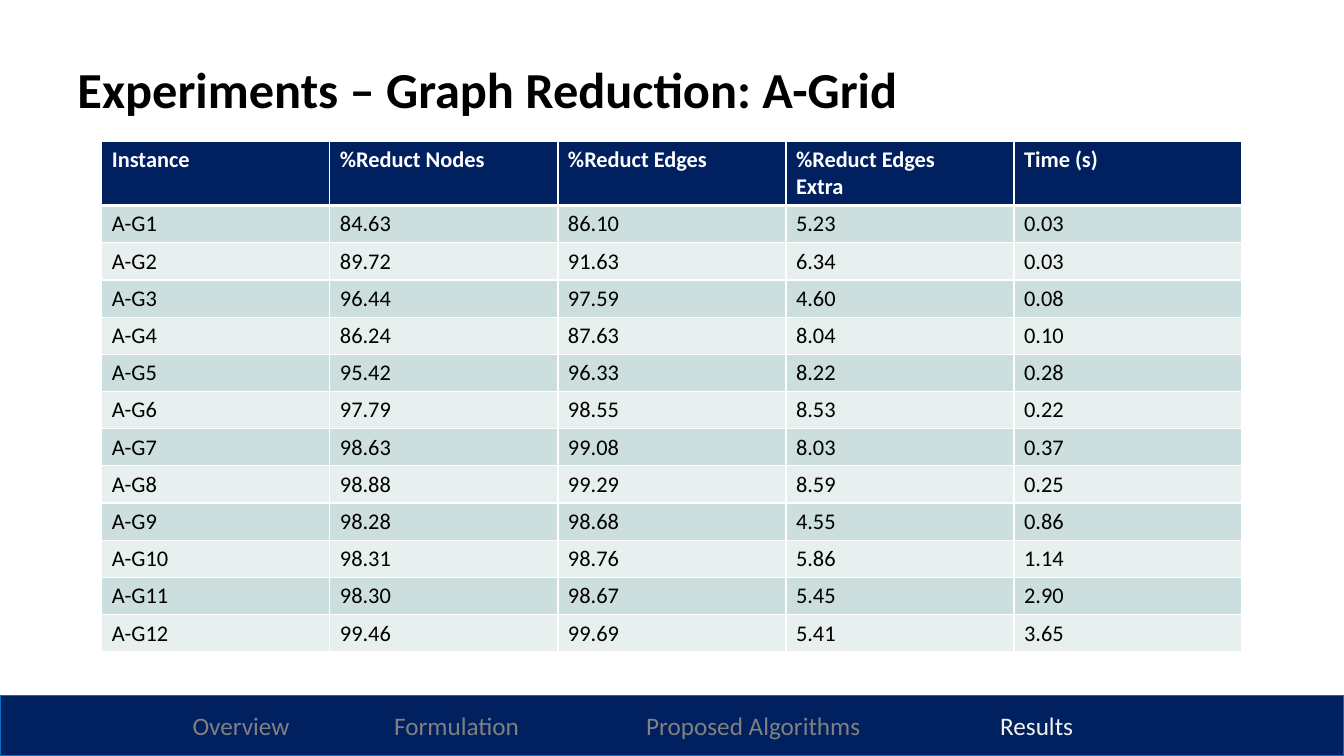
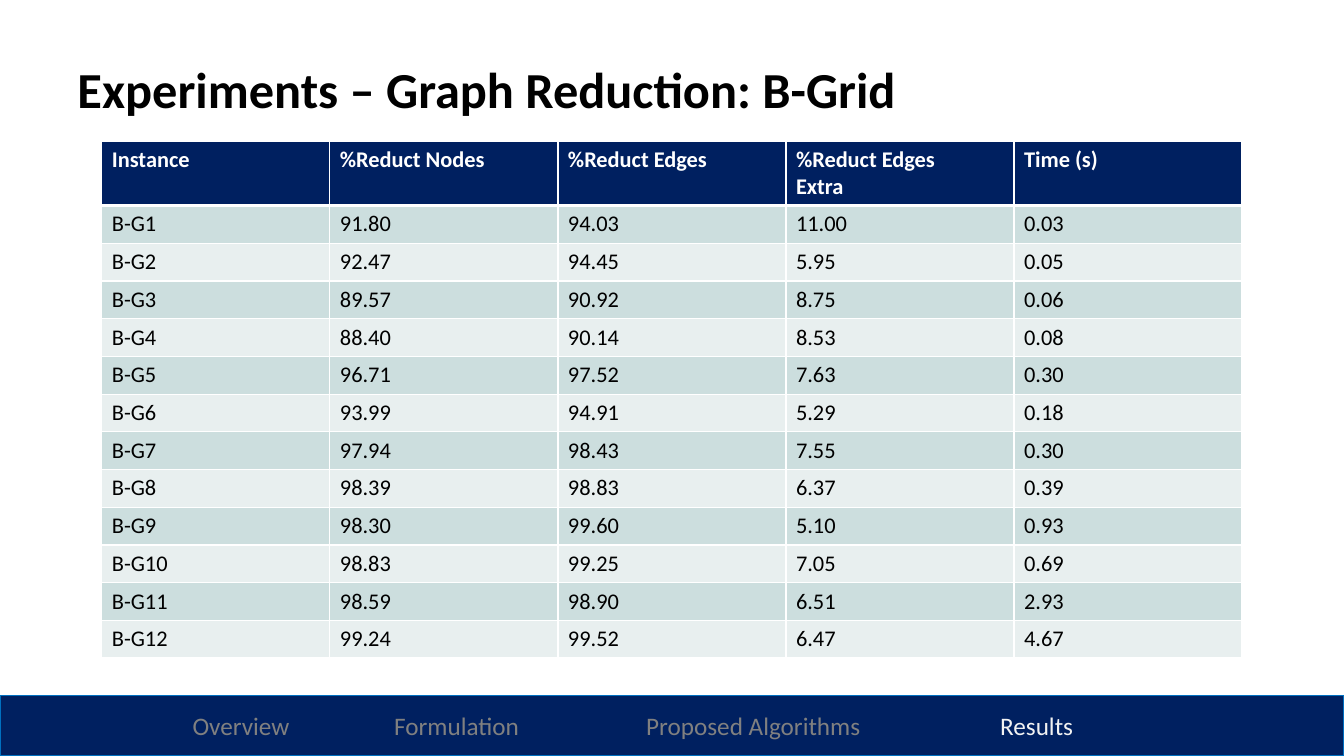
from lxml import etree
from pptx import Presentation
from pptx import util as u
from pptx.dml.color import RGBColor
from pptx.enum import shapes, text
from pptx.oxml.ns import qn

# Shared style
WIDTH, HEIGHT = 13.33, 7.5
FONT = "Calibri"
NAVY, BLUE, WHITE, BLACK = "002060", "0070C0", "FFFFFF", "000000"
BANDS = ("CCDEDE", "E8EFEF")
MUTED, ACTIVE = "808080", "F2F2F2"

# Footer sections with the distance of each from the left edge
SECTIONS = [("Overview", 1.91), ("Formulation", 3.91),
            ("Proposed Algorithms", 6.41), ("Results", 9.92)]
CURRENT = "Results"
FOOTER_HEIGHT = 0.08 * HEIGHT

# Table content: the instance name is the grid letter plus the row number
HEADINGS = ["Instance", "%Reduct Nodes", "%Reduct Edges", "%Reduct Edges\nExtra", "Time (s)"]
TABLE_LEFT, TABLE_TOP, TABLE_WIDTH, HEADER_HEIGHT = 1.01, 1.4, 11.31, 0.64
GRIDS = [
    {"letter": "A", "height": 5.07, "results": [
        ("84.63", "86.10", "5.23", "0.03"),
        ("89.72", "91.63", "6.34", "0.03"),
        ("96.44", "97.59", "4.60", "0.08"),
        ("86.24", "87.63", "8.04", "0.10"),
        ("95.42", "96.33", "8.22", "0.28"),
        ("97.79", "98.55", "8.53", "0.22"),
        ("98.63", "99.08", "8.03", "0.37"),
        ("98.88", "99.29", "8.59", "0.25"),
        ("98.28", "98.68", "4.55", "0.86"),
        ("98.31", "98.76", "5.86", "1.14"),
        ("98.30", "98.67", "5.45", "2.90"),
        ("99.46", "99.69", "5.41", "3.65"),
    ]},
    {"letter": "B", "height": 5.13, "results": [
        ("91.80", "94.03", "11.00", "0.03"),
        ("92.47", "94.45", "5.95", "0.05"),
        ("89.57", "90.92", "8.75", "0.06"),
        ("88.40", "90.14", "8.53", "0.08"),
        ("96.71", "97.52", "7.63", "0.30"),
        ("93.99", "94.91", "5.29", "0.18"),
        ("97.94", "98.43", "7.55", "0.30"),
        ("98.39", "98.83", "6.37", "0.39"),
        ("98.30", "99.60", "5.10", "0.93"),
        ("98.83", "99.25", "7.05", "0.69"),
        ("98.59", "98.90", "6.51", "2.93"),
        ("99.24", "99.52", "6.47", "4.67"),
    ]},
]


def rgb(value):
    return RGBColor.from_string(value)


def inches(*lengths):
    return [u.Inches(length) for length in lengths]


def paint(part, color):
    part.fill.solid()
    part.fill.fore_color.rgb = rgb(color)


def add_run(paragraph, words, size, color, bold=False):
    run = paragraph.add_run()
    run.text = words
    run.font.name, run.font.size, run.font.bold = FONT, u.Pt(size), bold
    run.font.color.rgb = rgb(color)


def add_title(slide, words):
    frame = slide.shapes.add_textbox(*inches(0.67, 0.6, 11.65, 1.24)).text_frame
    frame.word_wrap = True
    frame.paragraphs[0].line_spacing = 0.9
    add_run(frame.paragraphs[0], words, 36, BLACK, bold=True)


def add_footer(slide):
    band = slide.shapes.add_shape(
        shapes.MSO_SHAPE.RECTANGLE,
        *inches(0, HEIGHT - FOOTER_HEIGHT, WIDTH, FOOTER_HEIGHT))
    band.shadow.inherit = False
    paint(band, NAVY)
    band.line.color.rgb, band.line.width = rgb(BLUE), u.Pt(1)
    frame = band.text_frame
    frame.margin_left = frame.margin_right = 0
    frame.vertical_anchor = text.MSO_ANCHOR.MIDDLE
    menu = frame.paragraphs[0]
    menu.alignment = text.PP_ALIGN.LEFT
    # One tab stop per section
    stops = etree.SubElement(menu._p.get_or_add_pPr(), qn("a:tabLst"))
    for section, position in SECTIONS:
        etree.SubElement(stops, qn("a:tab"), pos=str(u.Inches(position)), algn="l")
        add_run(menu, "\t" + section, 18, ACTIVE if section == CURRENT else MUTED)


def add_borders(cell, top, bottom):
    widths = {"a:lnL": 1, "a:lnR": 1, "a:lnT": top, "a:lnB": bottom}
    properties = cell._tc.get_or_add_tcPr()
    for index, (side, width) in enumerate(widths.items()):
        border = etree.Element(qn(side), w=str(u.Pt(width)))
        fill = etree.SubElement(border, qn("a:solidFill"))
        etree.SubElement(fill, qn("a:srgbClr"), val=WHITE)
        properties.insert(index, border)


def fill_cell(cell, words, row):
    header = row == 0
    paint(cell, NAVY if header else BANDS[(row - 1) % 2])
    add_borders(cell, top=3 if row == 1 else 1, bottom=3 if header else 1)
    frame = cell.text_frame
    for index, line in enumerate(words.split("\n")):
        paragraph = frame.add_paragraph() if index else frame.paragraphs[0]
        add_run(paragraph, line, 16, WHITE if header else BLACK, bold=header)


def add_results(slide, grid):
    rows = [HEADINGS] + [(f"{grid['letter']}-G{number}", *values)
                         for number, values in enumerate(grid["results"], 1)]
    table = slide.shapes.add_table(
        len(rows), len(HEADINGS),
        *inches(TABLE_LEFT, TABLE_TOP, TABLE_WIDTH, grid["height"])).table
    table.horz_banding = False
    for column in table.columns:
        column.width = u.Inches(TABLE_WIDTH / len(HEADINGS))
    body_height = (grid["height"] - HEADER_HEIGHT) / len(grid["results"])
    for row, values in enumerate(rows):
        table.rows[row].height = u.Inches(body_height if row else HEADER_HEIGHT)
        for column, words in enumerate(values):
            fill_cell(table.cell(row, column), words, row)


def main():
    deck = Presentation()
    deck.slide_width, deck.slide_height = inches(WIDTH, HEIGHT)
    for grid in GRIDS:
        slide = deck.slides.add_slide(deck.slide_layouts[6])
        add_title(slide, f"Experiments – Graph Reduction: {grid['letter']}-Grid")
        add_results(slide, grid)
        add_footer(slide)
    deck.save("out.pptx")


if __name__ == "__main__":
    main()
